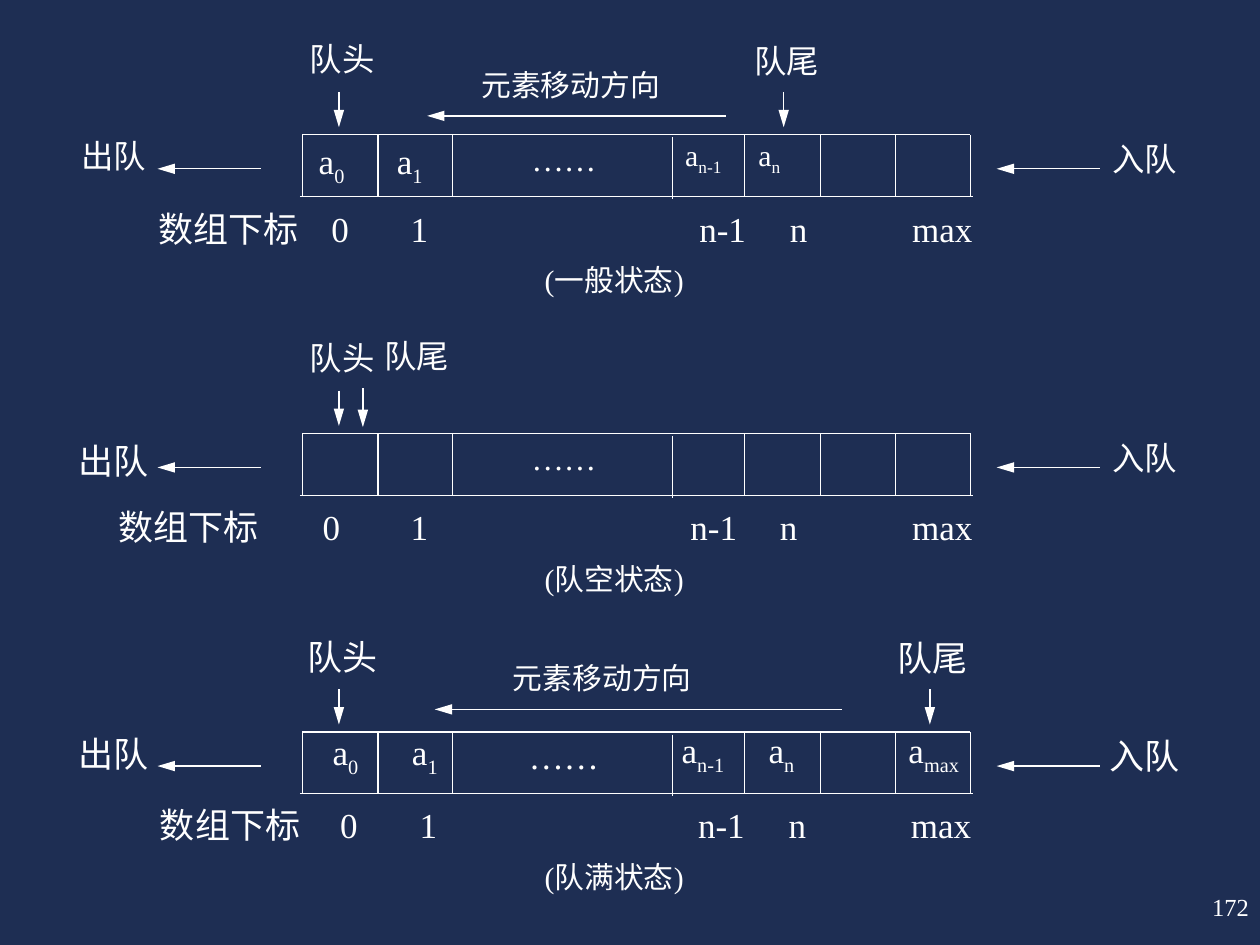
import dataclasses

import pptx
import pptx.dml.color
import pptx.enum.shapes
import pptx.enum.text
import pptx.oxml.ns
import pptx.util
from lxml import etree
from pptx.util import Inches

ALIGN = pptx.enum.text.PP_ALIGN


@dataclasses.dataclass(frozen=True)
class Theme:
    background = pptx.dml.color.RGBColor.from_string("1E2E53")
    ink = pptx.dml.color.RGBColor.from_string("FFFFFF")
    font = "Times New Roman"
    line = 0.75
    small, label, large, number = 17, 18.5, 20, 14


THEME = Theme()
PADDED, FLUSH = (0.1, 0.05), (0, 0)
FIRST_TOP, STEP, CELL_HEIGHT = 1.07, 2.37, 0.49
CELL_EDGES = (2.4, 3, 3.59, 5.34, 5.91, 6.51, 7.11, 7.7)
LABEL_SIZE = (1.15, 0.43)

# Vertical positions are offsets from the top edge of each array.
STATES = [
    dict(
        caption="(一般状态)", size=THEME.label, out_size=THEME.label, inset=PADDED,
        tail=(5.67, -0.76), tail_arrow=(6.22, -0.34, -0.06),
        index=((1.26, 0.58, 7.65, 0.44), (1.26, 2.63, 3.26, 5.55, 6.27, 7.24)),
        cells=[
            ((2.43, -0.01, 1.74, 0.5), (2.53, 3.15), THEME.large, 1, "01"),
            ((5.34, -0.03, 2.34, 0.44), (5.44, 6.02), THEME.small, 0.9, ("n-1", "n")),
        ],
        motion=(5.76, 3.39, -0.15, 3.82),
    ),
    dict(
        caption="(队空状态)", size=THEME.label, out_size=THEME.large, inset=PADDED,
        tail=(2.73, -0.79), tail_arrow=(2.88, -0.36, -0.05),
        index=((0.94, 0.57, 7.23, 0.4), (0.94, 2.56, 3.26, 5.48, 6.19, 7.24)),
        cells=[],
        motion=None,
    ),
    dict(
        caption="(队满状态)", size=THEME.large, out_size=THEME.large, inset=FLUSH,
        tail=(6.83, -0.76), tail_arrow=(7.38, -0.34, -0.06),
        index=((1.27, 0.57, 8.07, 0.45), (1.27, 2.7, 3.33, 5.54, 6.26, 7.23)),
        cells=[
            ((2.44, -0.01, 1.74, 0.5), (2.64, 3.27), THEME.large, 1, "01"),
            ((5.34, -0.03, 3.07, 0.47), (5.41, 6.1, 7.21), THEME.large, 1, ("n-1", "n", "max")),
        ],
        motion=(6.68, 3.45, -0.18, 4.07),
    ),
]


def apply(target, values):
    for name, value in values.items():
        setattr(target, name, value)


def add_line(shapes, start, end, arrow=False):
    line = shapes.add_connector(
        pptx.enum.shapes.MSO_CONNECTOR.STRAIGHT, *map(Inches, (*start, *end)))
    line.line.width = pptx.util.Pt(THEME.line)
    line.line.color.rgb = THEME.ink
    if arrow:
        etree.SubElement(line.line._get_or_add_ln(), pptx.oxml.ns.qn("a:tailEnd"),
                         type="triangle", w="med", len="lg")
    etree.SubElement(line._element.spPr, pptx.oxml.ns.qn("a:effectLst"))


def add_span(para, text, size, subscript=False):
    span = para.add_run()
    span.text = text
    apply(span.font, dict(name=THEME.font, size=pptx.util.Pt(size)))
    span.font.color.rgb = THEME.ink
    if subscript:
        span._r.get_or_add_rPr().set("baseline", "-25000")


def add_box(shapes, at, inset=FLUSH, align=ALIGN.LEFT, spacing=1.0):
    """Add an empty text box and return its first paragraph."""
    frame = shapes.add_textbox(*map(Inches, at)).text_frame
    side, end = map(Inches, inset)
    apply(frame, dict(word_wrap=True, margin_left=side, margin_right=side,
                      margin_top=end, margin_bottom=end))
    para = frame.paragraphs[0]
    apply(para, dict(alignment=align, line_spacing=spacing))
    return para


def add_label(shapes, at, text, size, inset=FLUSH, align=ALIGN.CENTER):
    spacing = 0.9 if size < THEME.large else 1.0
    add_span(add_box(shapes, at, inset, align, spacing), text, size)


def add_tabbed_row(shapes, at, starts, items, size, inset=FLUSH, spacing=1.0):
    """Place (text, subscript) items at the given slide positions with tab stops."""
    para = add_box(shapes, at, (starts[0] - at[0], inset[1]), spacing=spacing)
    stops = etree.SubElement(para._p.get_or_add_pPr(), pptx.oxml.ns.qn("a:tabLst"))
    for start in starts[1:]:
        etree.SubElement(stops, pptx.oxml.ns.qn("a:tab"),
                         pos=str(Inches(start - starts[0])), algn="l")
    for position, (text, subscript) in enumerate(items):
        add_span(para, "\t" + text if position else text, size)
        if subscript:
            add_span(para, subscript, size, subscript=True)


def add_array(shapes, top):
    bottom = top + CELL_HEIGHT
    add_line(shapes, (CELL_EDGES[0], top), (CELL_EDGES[-1], top))
    add_line(shapes, (2.38, bottom), (7.72, bottom))
    for edge in CELL_EDGES:
        drop = 0.02 if edge == 5.34 else 0
        add_line(shapes, (edge, top + drop), (edge, bottom + drop))


def add_state(page, top, state):
    shapes = page.shapes.add_group_shape().shapes
    size, inset = state["size"], state["inset"]
    add_array(shapes, top)

    # Cell contents
    for (left, offset, width, height), starts, cell_size, spacing, subscripts in state["cells"]:
        add_tabbed_row(shapes, (left, top + offset, width, height), starts,
                       [("a", subscript) for subscript in subscripts],
                       cell_size, inset, spacing)

    # Labels around the array
    tail_left, tail_offset = state["tail"]
    for text, left, offset, label_size in (
        ("……", 3.9, 0.02, size),
        ("队头", 2.14, -0.77, size),
        ("队尾", tail_left, tail_offset, size),
        ("入队", 8.51, 0.02, size),
        ("出队", 0.33, 0, state["out_size"]),
    ):
        add_label(shapes, (left, top + offset, *LABEL_SIZE), text, label_size, inset)

    # Head and tail pointers, then the arrows out of and into the queue
    for x, start, end in ((2.69, -0.34, -0.06), state["tail_arrow"]):
        add_line(shapes, (x, top + start), (x, top + end), arrow=True)
    for start, end in ((2.07, 1.25), (8.73, 7.91)):
        add_line(shapes, (start, top + 0.27), (end, top + 0.27), arrow=True)

    # Index row and caption
    (left, offset, width, height), starts = state["index"]
    names = ("数组下标", "0", "1", "n-1", "n", "max")
    add_tabbed_row(shapes, (left, top + offset, width, height), starts,
                   [(name, "") for name in names], THEME.large)
    add_label(shapes, (4.21, top + 1.04, 1.33, 0.36), state["caption"], THEME.small)


def add_motion(page, top, motion):
    start, end, offset, text_left = motion
    y = top + offset
    add_line(page.shapes, (start, y), (end, y), arrow=True)
    add_label(page.shapes, (text_left, y - 0.36, 1.88, 0.29), "元素移动方向",
              THEME.small, align=ALIGN.LEFT)


def main():
    deck = pptx.Presentation()
    apply(deck, dict(slide_width=Inches(10), slide_height=Inches(7.5)))
    page = deck.slides.add_slide(deck.slide_layouts[6])
    page.background.fill.solid()
    page.background.fill.fore_color.rgb = THEME.background

    # Three queue states at equal steps
    for row, state in enumerate(STATES):
        top = FIRST_TOP + row * STEP
        add_state(page, top, state)
        if state["motion"]:
            add_motion(page, top, state["motion"])

    # Page number
    add_label(page.shapes, (9.46, 7.06, 0.55, 0.34), "172", THEME.number,
              PADDED, ALIGN.RIGHT)
    deck.save("out.pptx")


if __name__ == "__main__":
    main()
